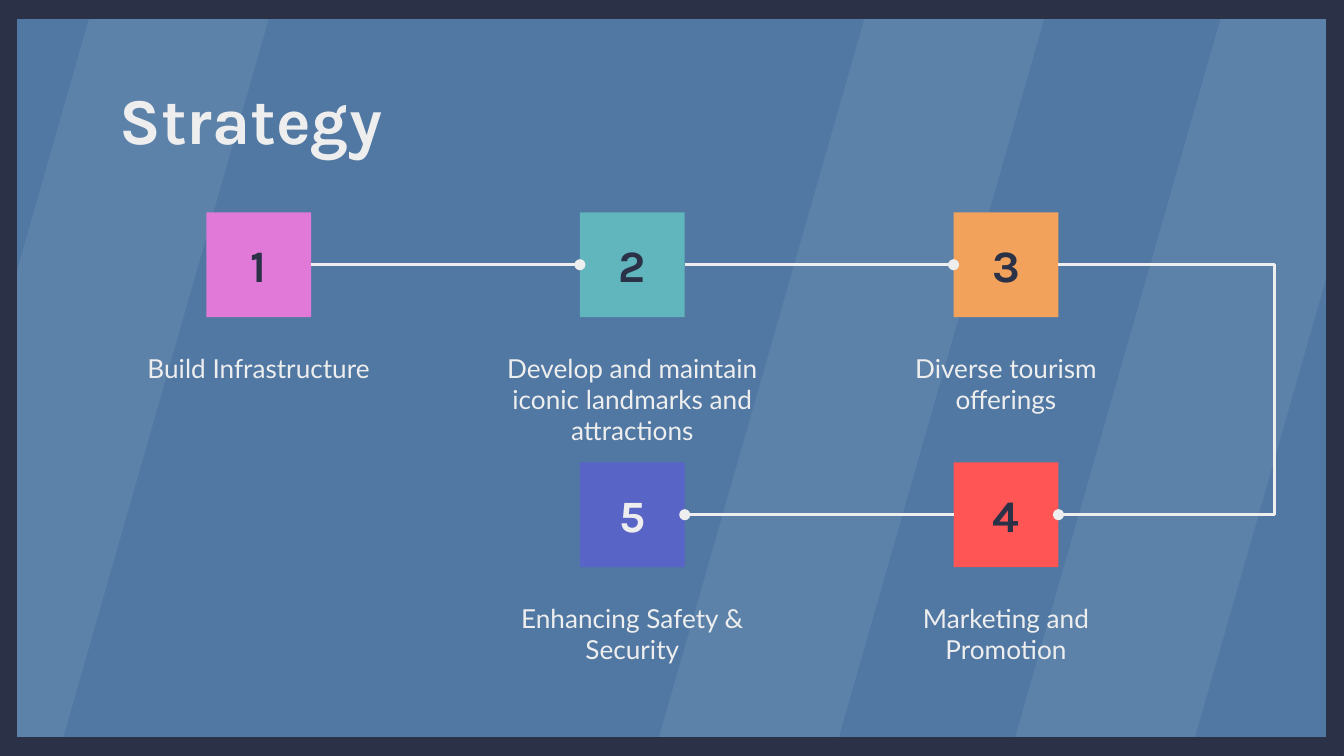
from dataclasses import dataclass
from pptx import Presentation
from pptx.dml.color import RGBColor
from pptx.enum.shapes import MSO_CONNECTOR, MSO_SHAPE
from pptx.enum.text import MSO_ANCHOR, PP_ALIGN
from pptx.oxml.ns import qn
from pptx.util import Inches, Pt
from lxml import etree

RECT, SLANT = MSO_SHAPE.RECTANGLE, MSO_SHAPE.PARALLELOGRAM
STRAIGHT, ELBOW = MSO_CONNECTOR.STRAIGHT, MSO_CONNECTOR.ELBOW
TOP, MIDDLE = MSO_ANCHOR.TOP, MSO_ANCHOR.MIDDLE
LEFT, CENTER = PP_ALIGN.LEFT, PP_ALIGN.CENTER
WEST, EAST = 1, 3


@dataclass(frozen=True)
class Theme:
    back: str = "5078A3"
    dark: str = "2B3247"
    light: str = "EEEEEE"
    white: str = "FFFFFF"
    pink: str = "E079D7"
    teal: str = "61B5BC"
    orange: str = "F3A25C"
    red: str = "FF5555"
    blue: str = "5964C7"
    head: str = "Karla"
    body: str = "Lato"
    title: int = 35
    number: int = 24
    label: int = 14
    line: float = 1.5


THEME = Theme()
WIDE = 10
HIGH = WIDE * 9 / 16
SIDE = 0.78
STEPS = [
    ("1", "Build Infrastructure", THEME.pink, THEME.dark, 0, 0),
    ("2", "Develop and maintain iconic landmarks and attractions",
     THEME.teal, THEME.dark, 1, 0),
    ("3", "Diverse tourism offerings", THEME.orange, THEME.dark, 2, 0),
    ("4", "Marketing and Promotion", THEME.red, THEME.dark, 2, 1),
    ("5", "Enhancing Safety & Security", THEME.blue, THEME.light, 1, 1),
]


def color(code):
    return RGBColor.from_string(code)


def add_block(slide, kind, box, fill):
    shape = slide.shapes.add_shape(kind, *map(Inches, box))
    shape.shadow.inherit = False
    shape.fill.solid()
    shape.fill.fore_color.rgb = color(fill)
    shape.line.fill.background()
    return shape


def write(shape, text, font, size, ink, bold=False, align=CENTER, anchor=TOP):
    frame = shape.text_frame
    frame.word_wrap = True
    frame.vertical_anchor = anchor
    frame.margin_left = frame.margin_right = Inches(0.1)
    frame.margin_top = frame.margin_bottom = Inches(0.1)
    para = frame.paragraphs[0]
    para.alignment = align
    run = para.add_run()
    run.text = text
    run.font.name = font
    run.font.size = Pt(size)
    run.font.bold = bold
    run.font.color.rgb = color(ink)


def add_text(slide, box, text, *style, **extra):
    write(slide.shapes.add_textbox(*map(Inches, box)), text, *style, **extra)


def add_bands(slide, box):
    left, top, width, height = box
    for shift in (4.81, 7.46, -0.96):
        band = add_block(slide, SLANT, (left + shift, top - 0.14, 3.04, height + 0.33),
                         THEME.white)
        band.adjustments[0] = 0.56
        tint = band.fill._xPr.find(qn("a:solidFill"))[0]
        etree.SubElement(tint, qn("a:alpha"), val="8000")


def add_frame(slide, box):
    left, top, width, height = box
    thick = 0.12
    for bar in (
        (left, top + 0.01, width, thick),
        (left, top + 0.04, thick, 5.5),
        (left, top + height - thick - 0.01, width, thick),
        (left + width - thick, top + 0.04, thick, 5.5),
    ):
        edge = add_block(slide, RECT, bar, THEME.dark)
        edge.line.color.rgb = color(THEME.dark)
        edge.line.width = Pt(THEME.line)


def add_step(slide, box, number, label, fill, ink):
    left, top, width, height = box
    square = add_block(slide, RECT, (left + (width - SIDE) / 2, top, SIDE, SIDE), fill)
    write(square, number, THEME.head, THEME.number, ink, bold=True, anchor=MIDDLE)
    add_text(slide, (left, top + 0.94, width, height - 0.94), label,
             THEME.body, THEME.label, THEME.light)
    return square


def add_link(slide, kind, start, end):
    link = slide.shapes.add_connector(kind, *start, *end)
    link.line.color.rgb = color(THEME.light)
    link.line.width = Pt(THEME.line)
    etree.SubElement(link.line._get_or_add_ln(), qn("a:tailEnd"), type="oval")
    etree.SubElement(link._element.spPr, qn("a:effectLst"))
    return link


def join(slide, first, last, out, into):
    link = add_link(slide, STRAIGHT, (0, 0), (0, 0))
    link.begin_connect(first, out)
    link.end_connect(last, into)


def add_turn(slide, first, last, reach):
    span = 600
    edge = first.left + first.width
    link = add_link(slide, ELBOW, (edge, first.top + first.height // 2),
                    (edge + span, last.top + last.height // 2))
    bend = link._element.spPr.find(qn("a:prstGeom")).get_or_add_avLst()
    ratio = round(Inches(reach) / span * 100000)
    etree.SubElement(bend, qn("a:gd"), name="adj1", fmla=f"val {ratio}")


def add_flow(slide, box):
    left, top, width, height = box
    cell = 2.29
    across, down = (width - cell) / 2, 1.86
    one, two, three, four, five = [
        add_step(slide, (left + col * across, top + row * down, cell, height - down),
                 number, label, fill, ink)
        for number, label, fill, ink, col, row in STEPS
    ]
    join(slide, one, two, EAST, WEST)
    join(slide, two, three, EAST, WEST)
    add_turn(slide, three, four, 1.34)
    join(slide, four, five, WEST, EAST)


def main():
    deck = Presentation()
    deck.slide_width, deck.slide_height = Inches(WIDE), Inches(HIGH)
    slide = deck.slides.add_slide(deck.slide_layouts[6])
    slide.background.fill.solid()
    slide.background.fill.fore_color.rgb = color(THEME.back)
    page = (0, 0, WIDE, HIGH)
    add_bands(slide, page)
    add_frame(slide, page)
    add_text(slide, (0.79, 0.49, 8.43, 0.63), "Strategy", THEME.head, THEME.title,
             THEME.light, bold=True, align=LEFT)
    add_flow(slide, (0.78, 1.58, 7.85, 3.33))
    deck.save("out.pptx")


if __name__ == "__main__":
    main()
